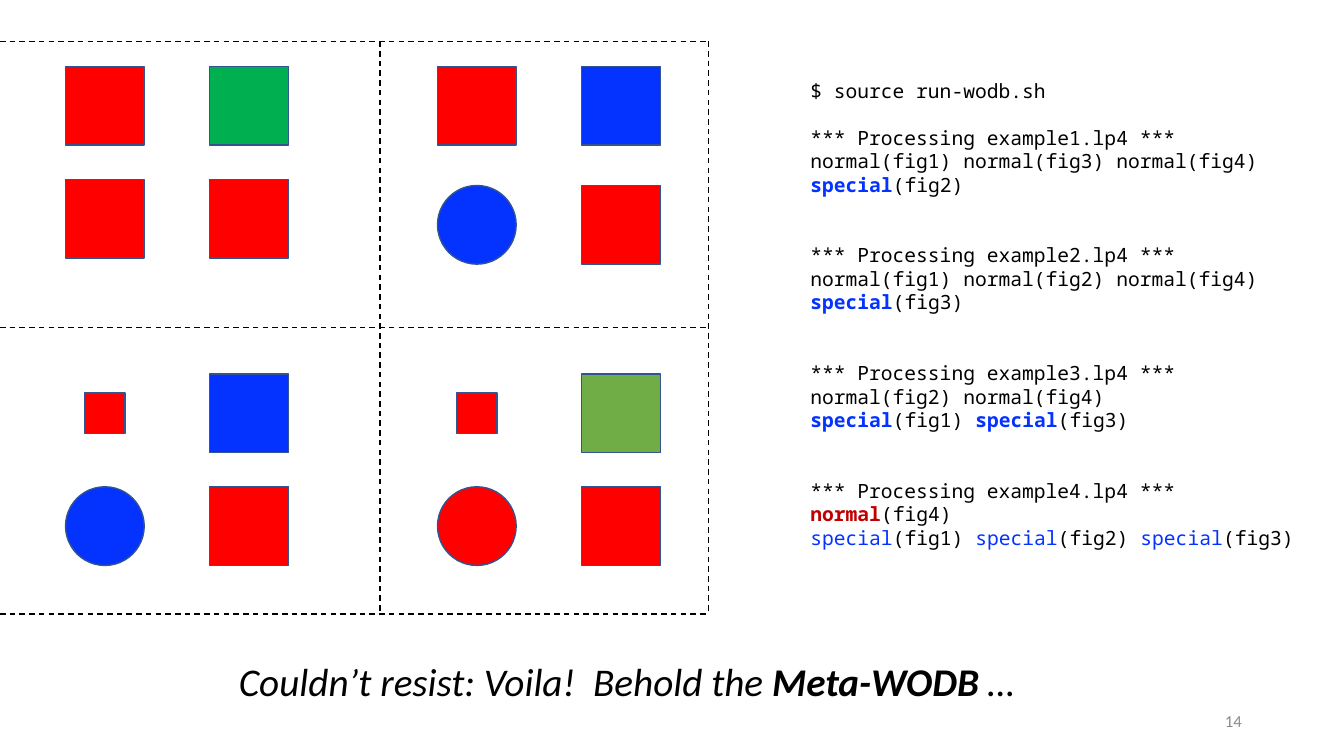
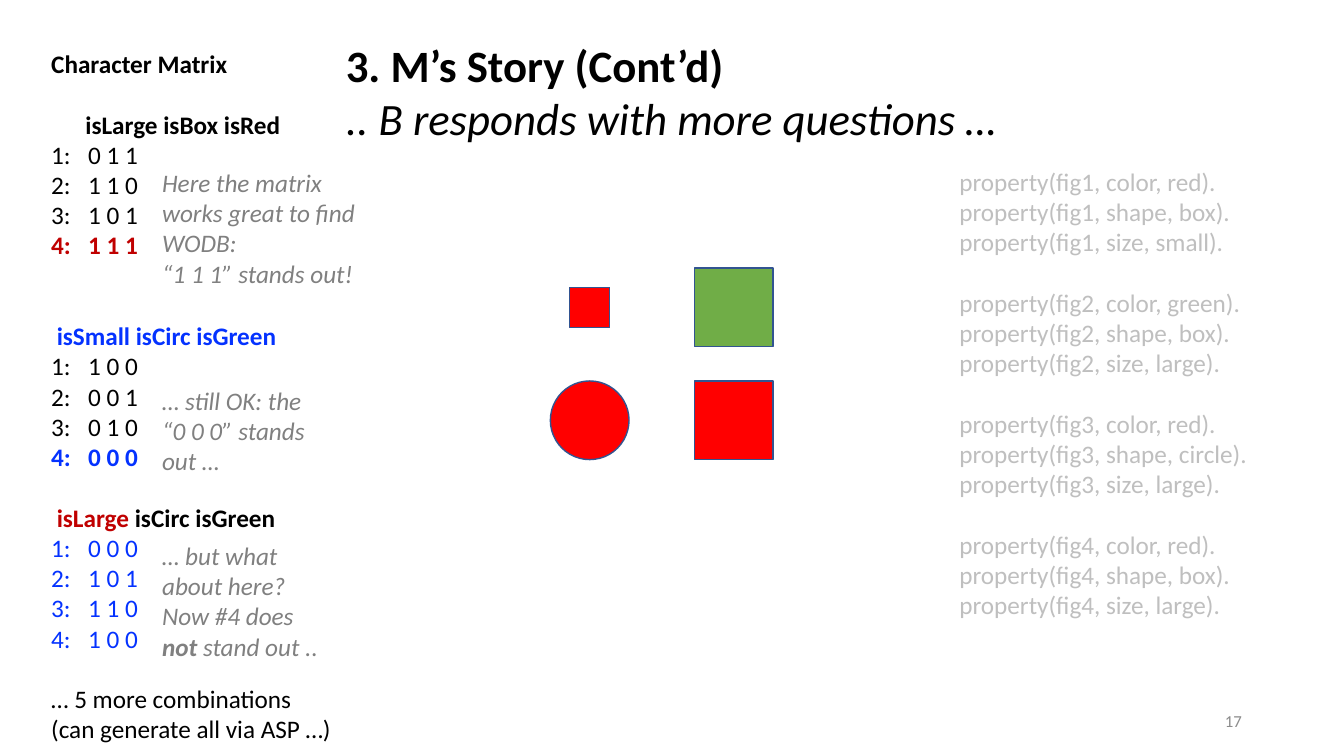
import dataclasses
import pptx
import pptx.util
import pptx.dml.color
import pptx.enum.dml
import pptx.enum.shapes
import pptx.enum.text
import pptx.oxml
import pptx.oxml.ns

Pt = pptx.util.Pt
RGB = pptx.dml.color.RGBColor
KIND = pptx.enum.shapes.MSO_SHAPE
ALIGN = pptx.enum.text.PP_ALIGN
ANCHOR = pptx.enum.text.MSO_ANCHOR

RED = RGB(0xFF, 0x00, 0x00)
GREEN = RGB(0x00, 0xB0, 0x50)
LEAF = RGB(0x70, 0xAD, 0x47)
BLUE = RGB(0x04, 0x32, 0xFF)
CRIMSON = RGB(0xC0, 0x00, 0x00)
NAVY = RGB(0x32, 0x54, 0x91)
BLACK = RGB(0x00, 0x00, 0x00)
GREY = RGB(0x80, 0x80, 0x80)
PALE = RGB(0xBF, 0xBF, 0xBF)
FOOT = RGB(0x8C, 0x8C, 0x8C)

SANS, MONO = "Calibri", "Noto Sans Mono"
LEAD = 1.2                      # line pitch as a share of the text size
CELL, STEP = 56.2, (103, 80.6)  # figure cell and distance between cells
TAB = 26.4


@dataclasses.dataclass
class Run:
    text: str
    color: RGB = None
    bold: bool = None
    italic: bool = None


@dataclasses.dataclass
class Para:
    runs: list
    gap: int = 0        # empty lines above
    indent: float = 0
    tab: float = 0


# Figures: shape, side, fill; fig1 to fig4 run row by row
def box(fill):
    return KIND.RECTANGLE, CELL, fill


def disc(fill):
    return KIND.OVAL, CELL, fill


DOT = (KIND.RECTANGLE, 28.8, RED)
LAST = [DOT, box(LEAF), disc(RED), box(RED)]

PANELS = [  # left, top, row step, figures
    (46.8, 47.5, STEP[1], [box(RED), box(GREEN), box(RED), box(RED)]),
    (312.5, 47.5, 85, [box(RED), box(BLUE), disc(BLUE), box(RED)]),
    (46.8, 267.1, STEP[1], [DOT, box(BLUE), disc(BLUE), box(RED)]),
    (312.5, 267.1, STEP[1], LAST),
]
ROWS = [29.5 + 204.5 * i for i in range(3)]
COLS = [271.4, 506.2]

CAPTION = [Para([Run("Couldn’t resist: Voila!  Behold the "),
                 Run("Meta-WODB", bold=True), Run(" …")])]
STORY = [Para([Run("3. M’s Story (Cont’d)", bold=True)]),
         Para([Run(".. B responds with more questions …", italic=True)])]

RESULTS = [  # normal figures, special figures
    ([1, 3, 4], [2]),
    ([1, 2, 4], [3]),
    ([2, 4], [1, 3]),
    ([4], [1, 2, 3]),
]

FACTS = [  # color, shape, size
    ("red", "box", "small"),
    ("green", "box", "large"),
    ("red", "circle", "large"),
    ("red", "box", "large"),
]

TABLES = [  # gap, indent, heading, bit rows, row colour, last row
    (1, 24.4, [Run("isLarge isBox isRed", bold=True)],
     ["0 1 1", "1 1 0", "1 0 1", "1 1 1"], BLACK, (CRIMSON, True)),
    (2, 4, [Run("isSmall isCirc isGreen", BLUE, True)],
     ["1 0 0", "0 0 1", "0 1 0", "0 0 0"], BLACK, (BLUE, True)),
    (1, 4, [Run("isLarge ", CRIMSON, True), Run("isCirc isGreen", bold=True)],
     ["0 0 0", "1 0 1", "1 1 0", "1 0 0"], BLUE, (BLUE, False)),
]

NOTES = [  # top, width, height, text
    (115.9, 155.5, 94.3, [Para([Run("Here the matrix works great to find WODB:")]),
                          Para([Run("“1 1 1” stands out!")])]),
    (271.4, 122.4, 72.7, [Para([Run("… still OK: the “0 0 0” stands out …")])]),
    (382.3, 131, 94.3, [Para([Run("… but what about here? Now #4 does "),
                              Run("not ", bold=True), Run("stand out ..")])]),
]


def log():
    """Paragraphs of the program output; the smaller group is bold."""
    paras = [Para([Run("$ source run-wodb.sh")])]
    for num, (norm, spec) in enumerate(RESULTS, 1):
        rare = len(norm) < len(spec)
        paras.append(Para([Run(f"*** Processing example{num}.lp4 ***")],
                          gap=1 if num == 1 else 2))
        for word, figs, color, bold in (
                ("normal", norm, CRIMSON if rare else BLACK, rare),
                ("special", spec, BLUE, not rare)):
            runs = []
            for fig in figs:
                end = "" if fig == figs[-1] else " "
                runs += [Run(word, color, bold), Run(f"(fig{fig}){end}")]
            paras.append(Para(runs))
    return paras


def facts():
    return [Para([Run(f"property(fig{num}, {name}, {value}).")],
                 gap=int(num > 1 and name == "color"))
            for num, row in enumerate(FACTS, 1)
            for name, value in zip(("color", "shape", "size"), row)]


def matrix():
    paras = [Para([Run("Character Matrix", bold=True)])]
    for gap, indent, head, rows, color, last in TABLES:
        paras.append(Para(head, gap, indent))
        for num, bits in enumerate(rows, 1):
            look = last if num == len(rows) else (color, False)
            paras.append(Para([Run(f"{num}:\t{bits}", *look)], tab=TAB))
    return paras + [Para([Run("… 5 more combinations")], gap=1),
                    Para([Run("(can generate all via ASP …)")])]


def write(shape, paras, size, color=BLACK, font=SANS, italic=False,
          align=ALIGN.LEFT, anchor=ANCHOR.TOP):
    frame = shape.text_frame
    frame.word_wrap = True
    frame.auto_size = pptx.enum.text.MSO_AUTO_SIZE.NONE
    frame.vertical_anchor = anchor
    for num, item in enumerate(paras):
        para = frame.add_paragraph() if num else frame.paragraphs[0]
        para.alignment = align
        para.space_before = Pt(item.gap * size * LEAD)
        if font == MONO:
            para.line_spacing = Pt(size * LEAD)
        props = para._p.get_or_add_pPr()
        if item.indent:
            props.set("marL", str(Pt(item.indent)))
            props.set("indent", "0")
        if item.tab:
            props.append(pptx.oxml.parse_xml(
                f'<a:tabLst {pptx.oxml.ns.nsdecls("a")}>'
                f'<a:tab pos="{Pt(item.tab)}" algn="l"/></a:tabLst>'))
        for part in item.runs:
            run = para.add_run()
            run.text = part.text
            run.font.name = font
            run.font.size = Pt(size)
            run.font.bold = bool(part.bold)
            run.font.italic = italic if part.italic is None else part.italic
            run.font.color.rgb = part.color or color


def label(slide, place, paras, size, **look):
    shape = slide.shapes.add_textbox(*map(Pt, place))
    write(shape, paras, size, **look)


def panel(slide, left, top, step, figs):
    """Draw four figures, each centred in its cell of a two by two grid."""
    group = slide.shapes.add_group_shape()
    for num, (kind, side, fill) in enumerate(figs):
        row, col = divmod(num, 2)
        inset = (CELL - side) / 2
        shape = group.shapes.add_shape(
            kind, Pt(left + col * STEP[0] + inset),
            Pt(top + row * step + inset), Pt(side), Pt(side))
        shape.shadow.inherit = False
        shape.fill.solid()
        shape.fill.fore_color.rgb = fill
        shape.line.color.rgb = NAVY
        shape.line.width = Pt(1)


def dash(slide, *ends):
    line = slide.shapes.add_connector(
        pptx.enum.shapes.MSO_CONNECTOR.STRAIGHT, *map(Pt, ends))
    line.line.color.rgb = BLACK
    line.line.width = Pt(1)
    line.line.dash_style = pptx.enum.dml.MSO_LINE.DASH
    line._element.spPr.append(pptx.oxml.parse_xml(
        f'<a:effectLst {pptx.oxml.ns.nsdecls("a")}/>'))


def start(deck, number, place, title, size, italic=False):
    """Add a slide with its title and page number."""
    slide = deck.slides.add_slide(deck.slide_layouts[5])
    head = slide.shapes.title
    head.left, head.top, head.width, head.height = map(Pt, place)
    write(head, title, size, italic=italic)
    label(slide, (678.2, 500.4, 216, 28.8), [Para([Run(number)])], 12,
          color=FOOT, align=ALIGN.RIGHT, anchor=ANCHOR.MIDDLE)
    return slide


def main():
    deck = pptx.Presentation()
    deck.slide_width, deck.slide_height = Pt(960), Pt(540)

    slide = start(deck, "14", (163.4, 465.8, 581.8, 41), CAPTION, 28, True)
    for spot in PANELS:
        panel(slide, *spot)
    for y in ROWS:
        dash(slide, 0, y, COLS[-1], y)
    for x in COLS:
        dash(slide, x, ROWS[0], x, ROWS[-1])
    label(slide, (571.7, 52.6, 362, 363.6), log(), 14, font=MONO)

    slide = start(deck, "17", (239.8, 23, 505.4, 85), STORY, 32)
    panel(slide, 393.1, 191.5, STEP[1], LAST)
    label(slide, (678.2, 115.2, 222.5, 378), facts(), 18, color=PALE)
    label(slide, (29.5, 31, 237.6, 509), matrix(), 18)
    for top, width, height, paras in NOTES:
        label(slide, (108.7, top, width, height), paras, 18,
              color=GREY, italic=True)

    deck.save("out.pptx")


if __name__ == "__main__":
    main()
